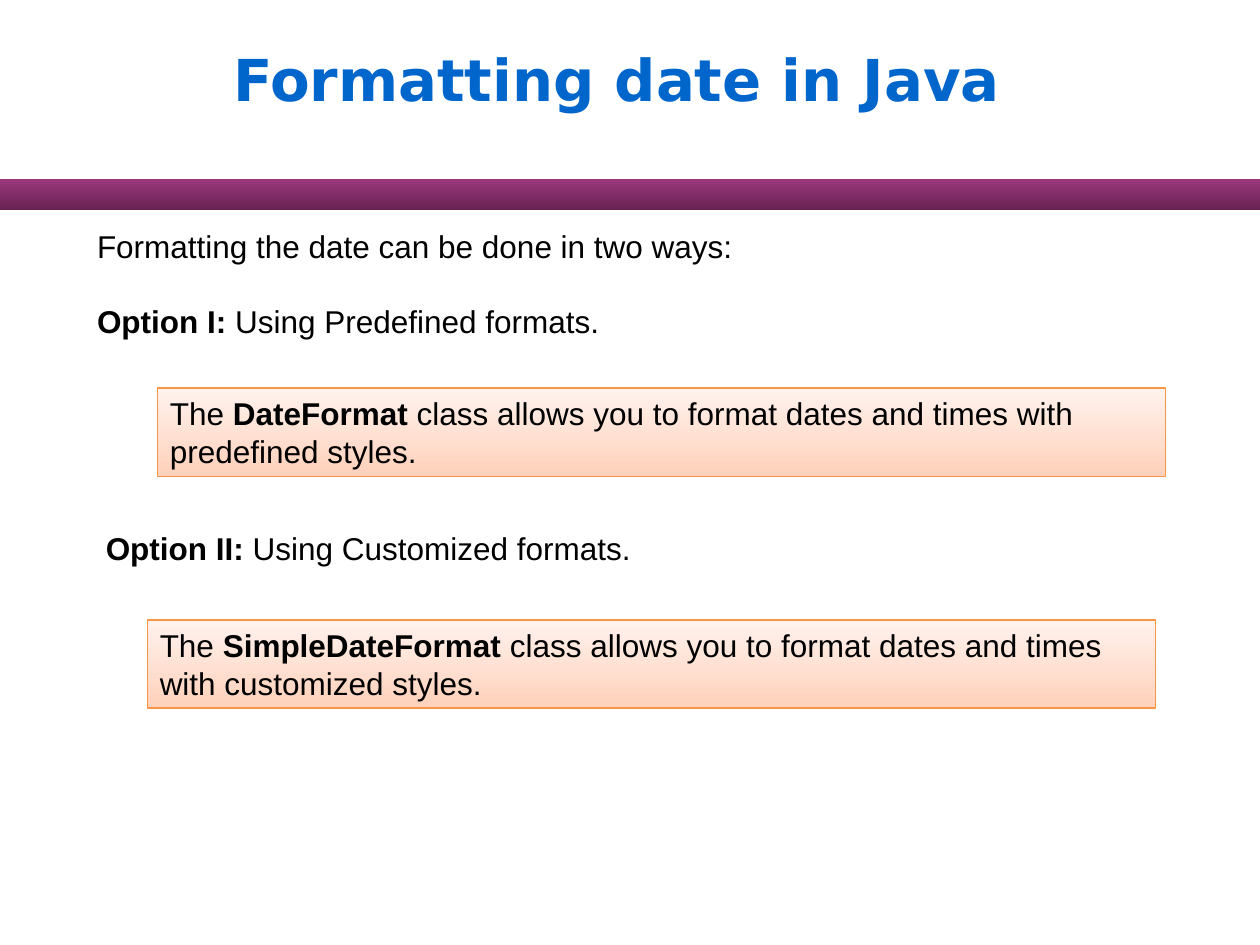
from dataclasses import dataclass
from pptx import Presentation
from pptx.dml.color import RGBColor as Color
from pptx.enum.shapes import MSO_SHAPE as Preset
from pptx.enum.text import MSO_ANCHOR as Anchor, MSO_AUTO_SIZE as AutoSize, PP_ALIGN as Align
from pptx.oxml.ns import qn
from pptx.util import Inches, Pt
from lxml import etree


@dataclass(frozen=True)
class Theme:
    title_font: str = "DejaVu Sans"
    body_font: str = "Arial"
    title_size: float = 33
    body_size: float = 18
    line_pitch: float = 21.6
    border_width: float = 0.74
    title: str = "0066CC"
    text: str = "000000"
    border: str = "F79646"
    band: tuple = ("682252", "99387B")
    note: tuple = ("FFD1BB", "FFF2ED")


theme = Theme()

# Content: spans are (text, bold); options carry the blank lines above them
TITLE = "Formatting date in Java"
BODY = [
    (0, [("Formatting the date can be done in two ways:", False)]),
    (1, [("Option I: ", True), ("Using Predefined formats.", False)]),
    (5, [(" Option II: ", True), ("Using Customized formats. ", False)]),
]
NOTES = [
    (1.25, 3.08, [("The ", False), ("DateFormat ", True),
                  ("class allows you to format dates and times with predefined styles.", False)]),
    (1.17, 4.92, [("The", False), (" SimpleDateFormat ", True),
                  ("class allows you to format dates and times with customized styles.", False)]),
]


def place(box, left, top, width, height):
    box.left, box.top = Inches(left), Inches(top)
    box.width, box.height = Inches(width), Inches(height)


def add_span(para, text, bold, font, size, color):
    span = para.add_run()
    span.text = text
    span.font.name, span.font.size, span.font.bold = font, Pt(size), bold
    span.font.color.rgb = Color.from_string(color)


def write_body(para, spans, lines_above=0):
    para.alignment = Align.LEFT
    para.line_spacing = Pt(theme.line_pitch)
    para.space_before = Pt(lines_above * theme.line_pitch)
    for text, bold in spans:
        add_span(para, text, bold, theme.body_font, theme.body_size, theme.text)


def add_gradient_box(left, top, width, height, colors):
    box = page.shapes.add_shape(
        Preset.RECTANGLE, Inches(left), Inches(top), Inches(width), Inches(height))
    box.shadow.inherit = False
    box.fill.gradient()
    box.fill.gradient_angle = 90
    for stop, color, position in zip(box.fill.gradient_stops, colors, (0, 1)):
        stop.color.rgb = Color.from_string(color)
        stop.position = position
    return box


deck = Presentation()
deck.slide_width, deck.slide_height = Inches(10), Inches(7.5)
page = deck.slides.add_slide(deck.slide_layouts[1])

# Title
title = page.shapes.title
place(title, 1.75, 0, 8.25, 1.25)
title.text_frame.vertical_anchor = Anchor.MIDDLE
title_para = title.text_frame.paragraphs[0]
title_para.alignment = Align.LEFT
add_span(title_para, TITLE, True, theme.title_font, theme.title_size, theme.title)

# Band under the title
band = add_gradient_box(0, 1.42, 10, 0.25, theme.band)
band.line.fill.background()

# Introduction and options
body = page.placeholders[1]
place(body, 0.67, 1.75, 8.58, 2.8)
body.text_frame.auto_size = AutoSize.NONE
for index, (lines_above, spans) in enumerate(BODY):
    para = body.text_frame.paragraphs[0] if index == 0 else body.text_frame.add_paragraph()
    write_body(para, spans, lines_above)
    properties = para._p.get_or_add_pPr()
    properties.set("marL", "0")
    properties.set("indent", "0")
    etree.SubElement(properties, qn("a:buNone"))

# Notes below each option
for left, top, spans in NOTES:
    note = add_gradient_box(left, top, 8, 0.7, theme.note)
    note.line.color.rgb = Color.from_string(theme.border)
    note.line.width = Pt(theme.border_width)
    note.text_frame.word_wrap = True
    note.text_frame.vertical_anchor = Anchor.TOP
    write_body(note.text_frame.paragraphs[0], spans)

deck.save("out.pptx")
